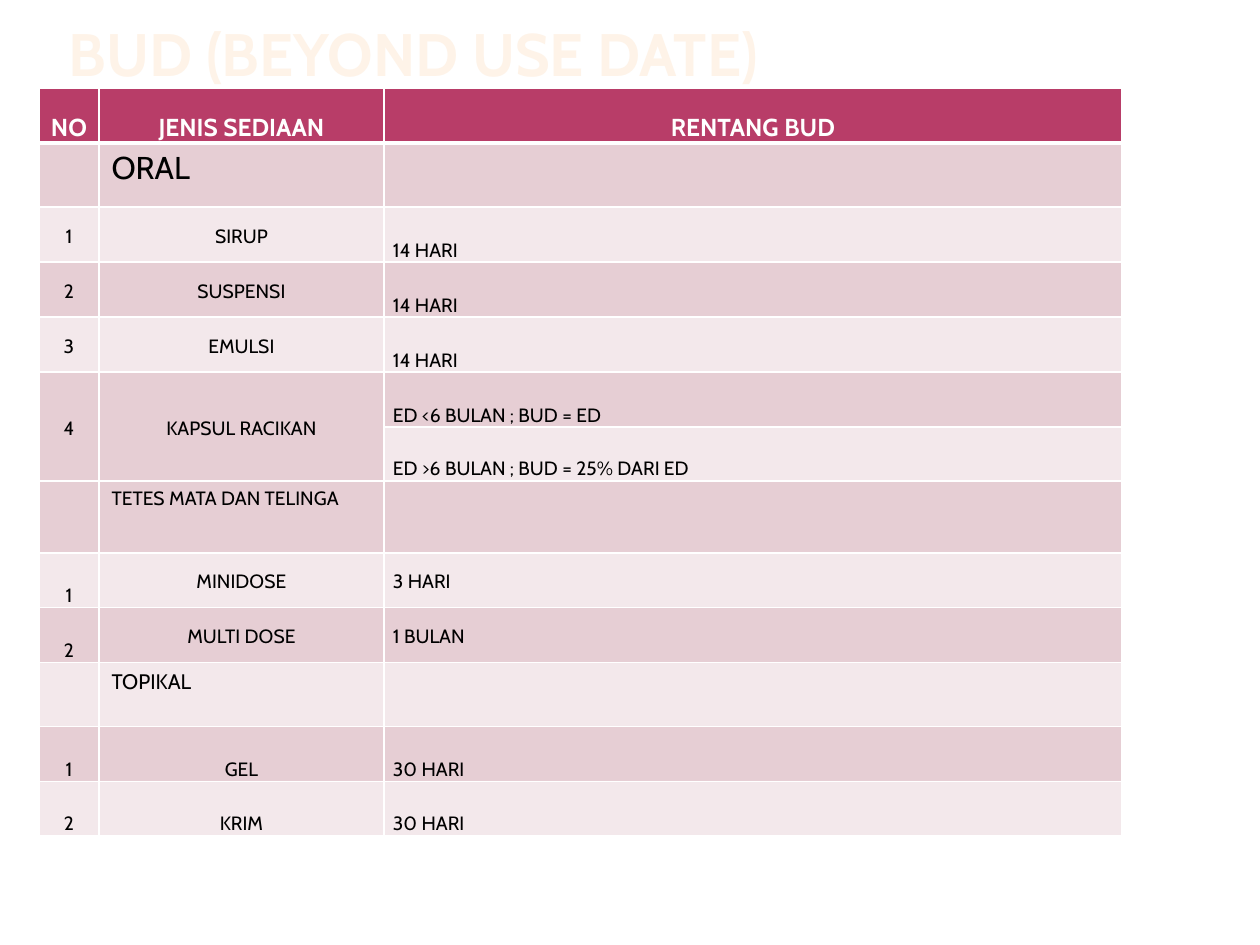
from pptx import Presentation, util as u
from pptx.dml.color import RGBColor
from pptx.enum import text
from pptx.oxml import parse_xml
from pptx.oxml.ns import nsdecls

PX = 914400 / 126
WHITE, BLACK, HEADER = "FFFFFF", "000000", "B83D68"
BANDS = ["F3E8EB", "E6CED4"]
ANCHORS = {"t": text.MSO_ANCHOR.TOP, "m": text.MSO_ANCHOR.MIDDLE, "b": text.MSO_ANCHOR.BOTTOM}


def px(n):
    return u.Emu(round(n * PX))


def style(p, size, color, bold=False):
    p.font.name = "Cabin"
    p.font.size = u.Pt(size)
    p.font.bold = bold
    p.font.color.rgb = RGBColor.from_string(color)


prs = Presentation()
prs.slide_width, prs.slide_height = px(1260), px(945)
s = prs.slides.add_slide(prs.slide_layouts[6])

title = s.shapes.add_textbox(px(63), px(44), px(998), px(44))
tf = title.text_frame
tf.word_wrap = True
tf.vertical_anchor = text.MSO_ANCHOR.BOTTOM
tf.margin_left = tf.margin_right = px(6)
tf.margin_top = tf.margin_bottom = 0
tf.text = "BUD (BEYOND USE DATE)"
style(tf.paragraphs[0], 34.2, "FEF3E8", True)

rows = [
    ("NO", "JENIS SEDIAAN", "RENTANG BUD", "bbb", 14),
    ("", "ORAL", "", "ttt", 18),
    ("1", "SIRUP", "14 HARI", "mmb", 11),
    ("2", "SUSPENSI", "14 HARI", "mmb", 11),
    ("3", "EMULSI", "14 HARI", "mmb", 11),
    ("4", "KAPSUL RACIKAN", "ED <6 BULAN ; BUD = ED", "mmb", 11),
    ("", "", "ED >6 BULAN ; BUD = 25% DARI ED", "mmb", 11),
    ("", "TETES MATA DAN TELINGA", "", "ttt", 11),
    ("1", "MINIDOSE", "3 HARI", "bmm", 11),
    ("2", "MULTI DOSE", "1 BULAN", "bmm", 11),
    ("", "TOPIKAL", "", "ttt", 12),
    ("1", "GEL", "30 HARI", "bbb", 11),
    ("2", "KRIM", "30 HARI", "bbb", 11),
]
col_edges = [39, 99, 384, 1122]
row_edges = [88, 143, 207, 262, 317, 372, 427, 481, 553, 608, 663, 727, 782, 836]

frame = s.shapes.add_table(len(rows), 3, px(39), px(88), px(1083), px(748))
table = frame.table
table.horz_banding = False
for col, left, right in zip(table.columns, col_edges, col_edges[1:]):
    col.width = px(right - left)
for row, top, bottom in zip(table.rows, row_edges, row_edges[1:]):
    row.height = px(bottom - top)
for c in (0, 1):
    table.cell(5, c).merge(table.cell(6, c))

for r, (*words, anchors, size) in enumerate(rows):
    for c, word in enumerate(words):
        cell = table.cell(r, c)
        tcPr = cell._tc.get_or_add_tcPr()
        for side in "LRTB":
            wide = (r == 0 and side == "B") or (r == 1 and side == "T")
            tcPr.append(parse_xml(
                f'<a:ln{side} {nsdecls("a")} w="{u.Pt(3 if wide else 1)}"><a:solidFill>'
                f'<a:srgbClr val="{WHITE}"/></a:solidFill></a:ln{side}>'))
        cell.fill.solid()
        cell.fill.fore_color.rgb = RGBColor.from_string(BANDS[r % 2] if r else HEADER)
        cell.vertical_anchor = ANCHORS[anchors[c]]
        cell.text = word
        p = cell.text_frame.paragraphs[0]
        if anchors != "ttt":
            cell.margin_left = cell.margin_right = px(9)
            cell.margin_top = cell.margin_bottom = 0
            p.line_spacing = 1.15
            if r == 0 or c < 2:
                p.alignment = text.PP_ALIGN.CENTER
        style(p, size, BLACK if r else WHITE, r == 0)

prs.save("out.pptx")
